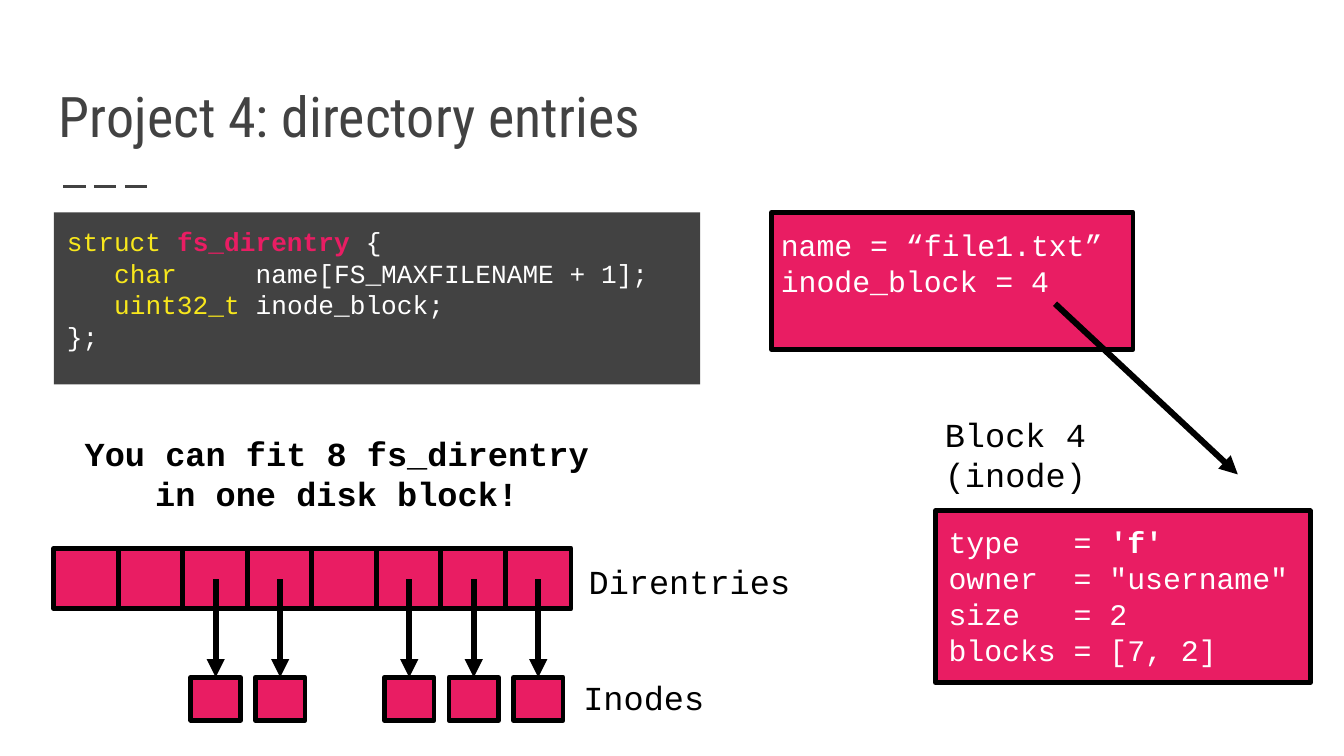
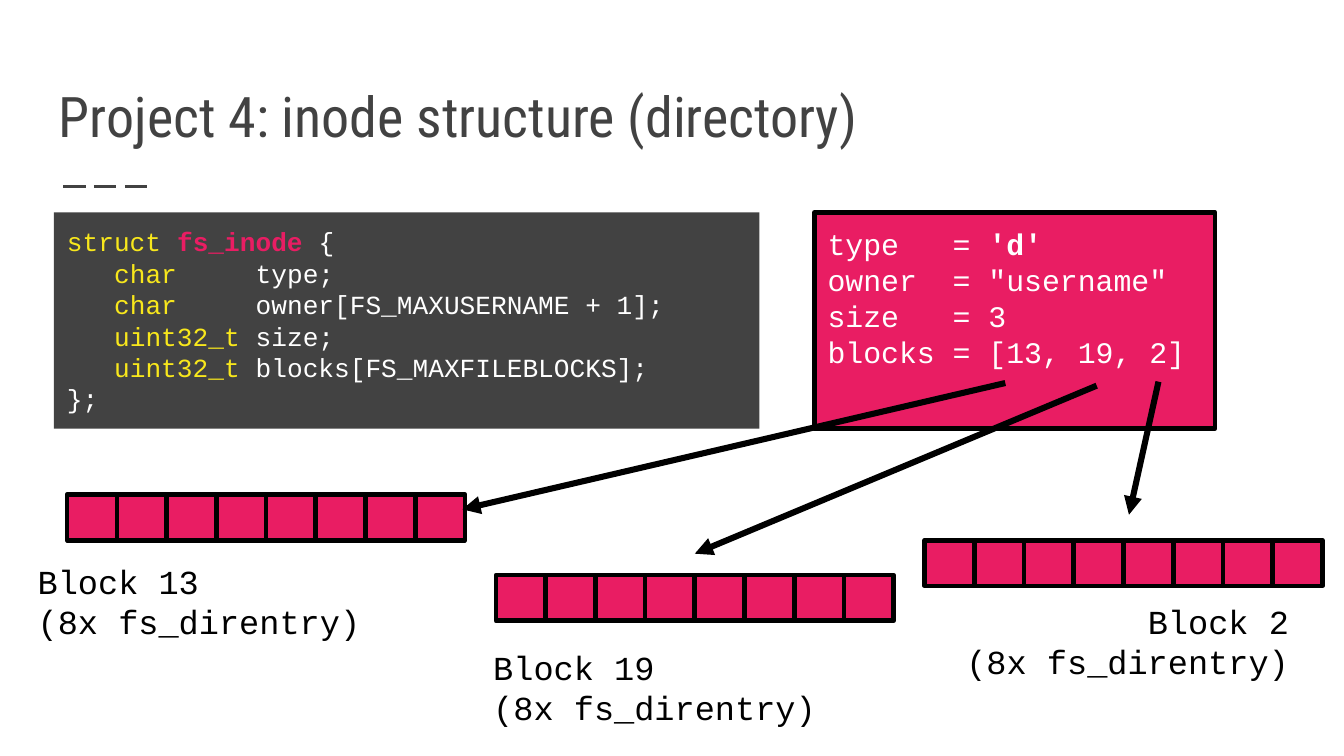
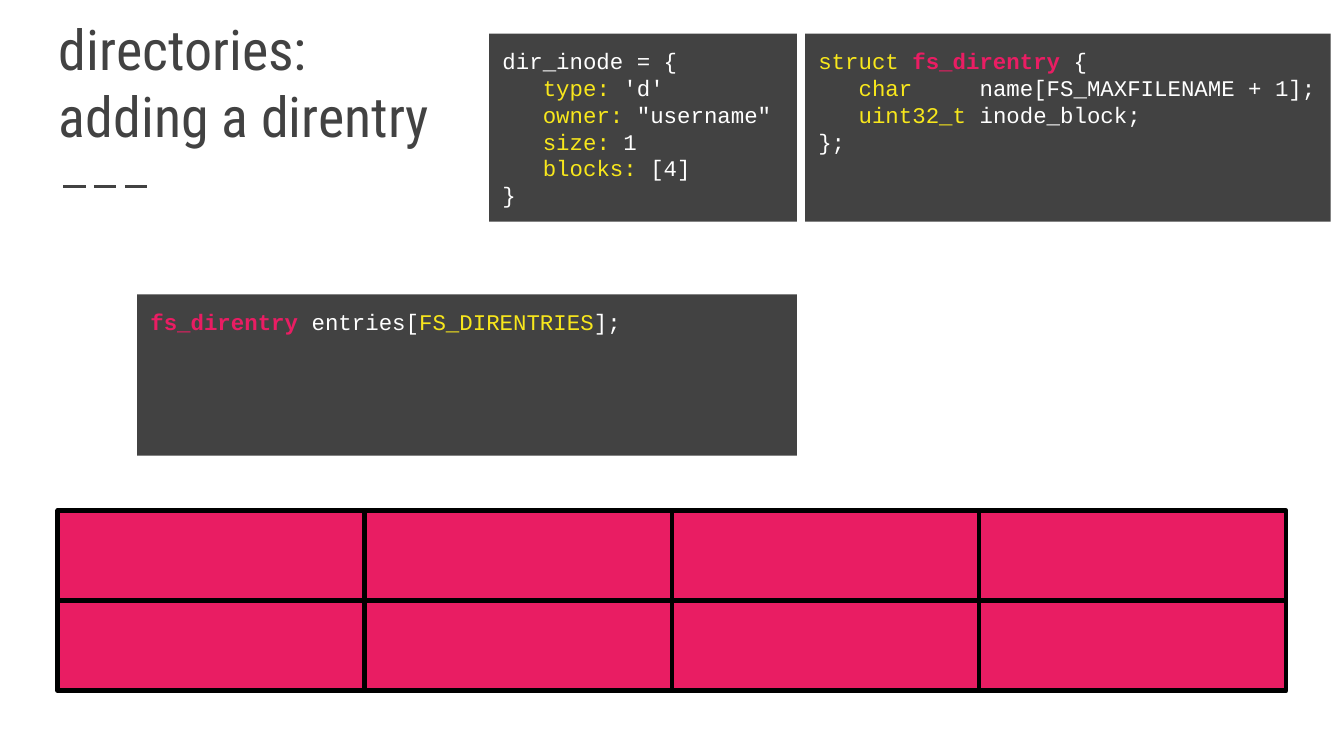
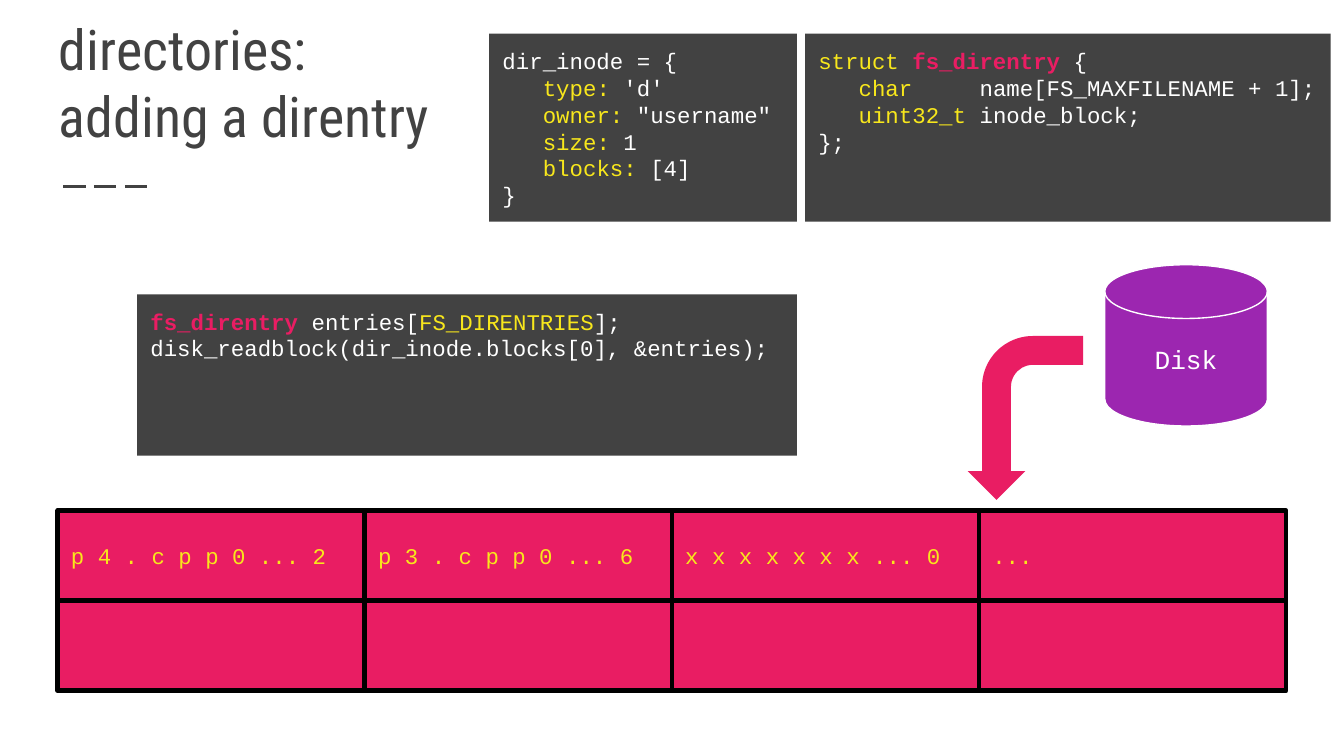
from lxml import etree
from pptx import Presentation
from pptx.dml.color import RGBColor
from pptx.enum.dml import MSO_LINE
from pptx.enum.shapes import MSO_CONNECTOR, MSO_SHAPE
from pptx.enum.text import MSO_ANCHOR, PP_ALIGN
from pptx.oxml.ns import qn
from pptx.util import Inches, Pt

RECTANGLE = MSO_SHAPE.RECTANGLE
DISK = MSO_SHAPE.FLOWCHART_MAGNETIC_DISK
BENT_ARROW = MSO_SHAPE.BENT_ARROW
STRAIGHT = MSO_CONNECTOR.STRAIGHT
LONG_DASH = MSO_LINE.LONG_DASH
TOP, MIDDLE, BOTTOM = MSO_ANCHOR.TOP, MSO_ANCHOR.MIDDLE, MSO_ANCHOR.BOTTOM
LEFT, CENTER, RIGHT = PP_ALIGN.LEFT, PP_ALIGN.CENTER, PP_ALIGN.RIGHT

PINK, GRAY, YELLOW, PURPLE = "E91D63", "424242", "F8E71C", "9C26B0"
BLACK, WHITE = "000000", "FFFFFF"
CODE_FONT, TITLE_FONT = "Courier New", "Roboto Condensed"
SLIDE_WIDTH = 10
SLIDE_HEIGHT = SLIDE_WIDTH * 9 / 16
TOP_SIDE = 0
WIDE_INSETS = (0.1, 0.1, 0.1, 0.1)
NARROW_INSETS = (0.07, 0.04, 0.07, 0.04)
RECORD_INSETS = (0.1, 0.1, 0, 0.1)


def rgb(value):
    return RGBColor.from_string(value)


def write_text(shape, lines, size=18, font=CODE_FONT, color=WHITE, bold=False,
               align=LEFT, anchor=TOP, insets=WIDE_INSETS):
    """Fill a shape; a line is a string or a list of strings and (text, color, bold)."""
    frame = shape.text_frame
    frame.word_wrap = True
    frame.vertical_anchor = anchor
    (frame.margin_left, frame.margin_top,
     frame.margin_right, frame.margin_bottom) = map(Inches, insets)
    for index, line in enumerate(lines):
        paragraph = frame.paragraphs[0] if index == 0 else frame.add_paragraph()
        paragraph.alignment = align
        for part in [line] if isinstance(line, str) else line:
            text, part_color, part_bold = (part, color, bold) if isinstance(part, str) else part
            run = paragraph.add_run()
            run.text = text
            run.font.name = font
            run.font.size = Pt(size)
            run.font.bold = part_bold
            run.font.color.rgb = rgb(part_color)


def keyword(text):
    return text, YELLOW, False


def type_name(text):
    return text, PINK, True


def struct_code(name, fields):
    """Lines of a C struct with the field names aligned."""
    members = [["   ", keyword(f"{kind:<9}"), f"{field};"] for kind, field in fields]
    return [[keyword("struct "), type_name(f"{name} "), "{"], *members, "};"]


def inode_record(kind, size, blocks):
    return [["type   = ", (f"'{kind}'", WHITE, True)],
            'owner  = "username"', f"size   = {size}", f"blocks = {blocks}"]


DIRENTRY_CODE = struct_code("fs_direntry", [
    ("char", "name[FS_MAXFILENAME + 1]"), ("uint32_t", "inode_block")])
INODE_CODE = struct_code("fs_inode", [
    ("char", "type"), ("char", "owner[FS_MAXUSERNAME + 1]"),
    ("uint32_t", "size"), ("uint32_t", "blocks[FS_MAXFILEBLOCKS]")])
DIR_INODE_CODE = ["dir_inode = {"] + [
    ["   ", keyword(f"{field}:"), f" {value}"] for field, value in
    [("type", "'d'"), ("owner", '"username"'), ("size", "1"), ("blocks", "[4]")]] + ["}"]
ENTRIES_CODE = [type_name("fs_direntry "), "entries[", keyword("FS_DIRENTRIES"), "];"]


class Deck:
    """Holds the shared style and the current slide."""

    def __init__(self):
        self.presentation = Presentation()
        self.presentation.slide_width = Inches(SLIDE_WIDTH)
        self.presentation.slide_height = Inches(SLIDE_HEIGHT)
        self.slide = None

    def new_slide(self, *title, title_width=9.32):
        self.slide = self.presentation.slides.add_slide(self.presentation.slide_layouts[6])
        self.line((0.47, 1.39), (1.14, 1.39), GRAY, 1.5).line.dash_style = LONG_DASH
        self.label(0.34, 0.41, title_width, 0.8, title, size=30, font=TITLE_FONT,
                   color=GRAY, anchor=BOTTOM, insets=WIDE_INSETS)

    def shape(self, left, top, width, height, kind=RECTANGLE, fill=PINK,
              outline=None, weight=2.5):
        shape = self.slide.shapes.add_shape(
            kind, Inches(left), Inches(top), Inches(width), Inches(height))
        shape.shadow.inherit = False
        shape.fill.solid()
        shape.fill.fore_color.rgb = rgb(fill)
        if outline:
            shape.line.color.rgb = rgb(outline)
            shape.line.width = Pt(weight)
        else:
            shape.line.fill.background()
        return shape

    def label(self, left, top, width, height, lines, color=BLACK,
              insets=NARROW_INSETS, **text_format):
        box = self.slide.shapes.add_textbox(
            Inches(left), Inches(top), Inches(width), Inches(height))
        write_text(box, lines, color=color, insets=insets, **text_format)

    def code(self, left, top, width, height, lines, size=14):
        write_text(self.shape(left, top, width, height, fill=GRAY), lines, size=size)

    def cell(self, left, top, width, height):
        return self.shape(left, top, width, height, outline=BLACK)

    def record(self, left, top, width, height, lines, insets=RECORD_INSETS):
        write_text(self.cell(left, top, width, height), lines, size=16, insets=insets)

    def block(self, left, top, pitch, width, height):
        """A disk block: a row of eight directory entries."""
        for index in range(8):
            self.cell(left + index * pitch, top, width, height)

    def line(self, start, end, color=BLACK, weight=3.25):
        connector = self.slide.shapes.add_connector(
            STRAIGHT, *(Inches(value) for value in (*start, *end)))
        connector.line.color.rgb = rgb(color)
        connector.line.width = Pt(weight)
        etree.SubElement(connector.element.spPr, qn("a:effectLst"))
        return connector

    def arrow(self, start, end):
        connector = self.line(start, end)
        outline = connector.element.spPr.find(qn("a:ln"))
        etree.SubElement(outline, qn("a:tailEnd"), type="triangle")
        return connector


def direntries_slide(deck):
    deck.new_slide("Project 4: directory entries", title_width=4.66)
    deck.code(0.4, 1.58, 4.81, 1.28, DIRENTRY_CODE)

    # One directory entry pointing at its inode
    deck.record(5.74, 1.58, 2.69, 1.02, ["name = “file1.txt”", "inode_block = 4"],
                insets=(0.07, 0.11, 0.07, 0.04))
    deck.label(6.96, 3.04, 1.58, 0.68, ["Block 4 (inode)"])
    deck.record(6.96, 3.8, 2.79, 1.28, inode_record("f", 2, "[7, 2]"))
    deck.arrow((7.85, 2.26), (9.21, 3.53))

    # A block of entries, with inodes below those in use
    deck.label(0.4, 3.18, 4.21, 0.8, ["You can fit 8 fs_direntry in one disk block!"],
               bold=True, align=CENTER)
    left, pitch, width = 0.4, 0.48, 0.49
    deck.block(left, 4.08, pitch, width, 0.45)
    inode_width = 0.37
    for index in (2, 3, 5, 6, 7):
        middle = left + index * pitch + width / 2
        inode = deck.cell(middle - inode_width / 2, 5.04, inode_width, 0.32)
        deck.arrow((middle, 4.31), (middle, 5.04)).end_connect(inode, TOP_SIDE)
    deck.label(4.31, 4.13, 1.7, 0.35, ["Direntries"])
    deck.label(4.27, 5, 1.12, 0.35, ["Inodes"])


def inode_slide(deck):
    deck.new_slide("Project 4: inode structure (directory)")
    deck.code(0.4, 1.58, 5.25, 1.61, INODE_CODE)
    deck.record(6.06, 1.58, 2.98, 1.61, inode_record("d", 3, "[13, 19, 2]"))

    # Blocks: number, cells, label box, alignment, arrow
    blocks = [
        (13, (0.5, 3.68), (0.21, 4.13, 3.38), LEFT, (7.48, 2.85), (3.44, 3.79)),
        (19, (3.69, 4.28), (3.6, 4.77, 3.54), LEFT, (8.16, 2.87), (5.17, 4.12)),
        (2, (6.88, 4.02), (6.28, 4.43, 3.38), RIGHT, (8.62, 2.84), (8.4, 3.83)),
    ]
    for number, corner, label_box, align, start, end in blocks:
        deck.block(*corner, 0.37, 0.37, 0.34)
        deck.label(*label_box, 0.85, [f"Block {number}", "(8x fs_direntry)"], align=align)
        deck.arrow(start, end)


def adding_slide(deck, code_lines, entries=()):
    deck.new_slide("directories:", "adding a direntry")
    deck.code(3.64, 0.25, 2.29, 1.4, DIR_INODE_CODE, size=12)
    deck.code(5.99, 0.25, 3.91, 1.4, DIRENTRY_CODE, size=12)
    deck.code(1.02, 2.19, 4.91, 1.2, code_lines, size=12)

    # Entry grid, four by two and centred; the second row is drawn first
    margin = 0.43
    width = (SLIDE_WIDTH - 2 * margin) / 4
    cells = [deck.cell(margin + column * width, top, width, 0.67)
             for top in (4.47, 3.8) for column in range(4)]
    for cell, entry in zip(cells[4:], entries):
        write_text(cell, [entry], size=12, color=YELLOW, anchor=MIDDLE, insets=RECORD_INSETS)


def disk_read(deck):
    disk = deck.shape(8.22, 1.97, 1.21, 1.2, DISK, PURPLE, WHITE, 0.75)
    write_text(disk, ["Disk"], size=14, align=CENTER, anchor=MIDDLE)
    arrow = deck.shape(7.02, 2.68, 1.22, 0.86, BENT_ARROW)
    for index, value in enumerate((0.25, 0.25, 0.25, 0.44)):
        arrow.adjustments[index] = value
    arrow.rotation = 270
    arrow.element.spPr.find(qn("a:xfrm")).set("flipH", "1")


def main():
    deck = Deck()
    direntries_slide(deck)
    inode_slide(deck)
    adding_slide(deck, [ENTRIES_CODE])
    adding_slide(deck, [ENTRIES_CODE, "disk_readblock(dir_inode.blocks[0], &entries);"],
                 ["p 4 . c p p 0 ... 2", "p 3 . c p p 0 ... 6", "x x x x x x x ... 0", "..."])
    disk_read(deck)
    deck.presentation.save("out.pptx")


if __name__ == "__main__":
    main()
